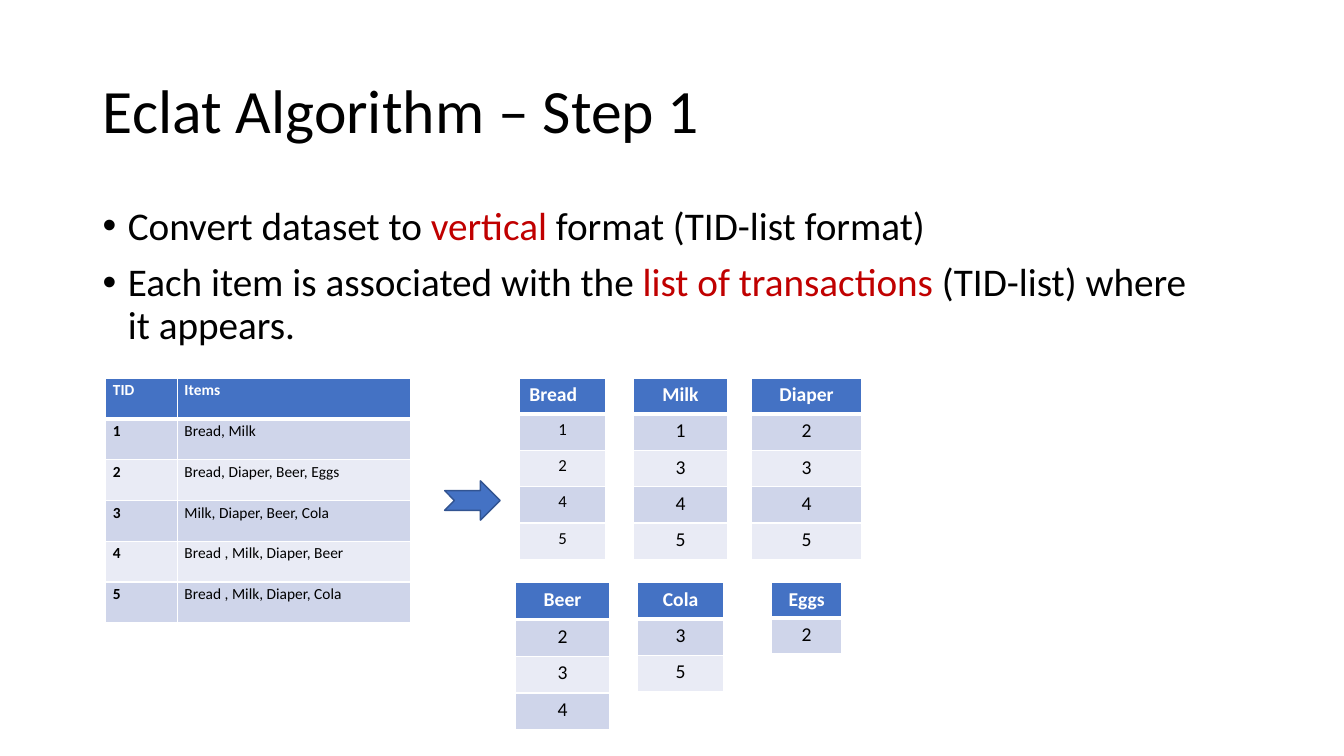
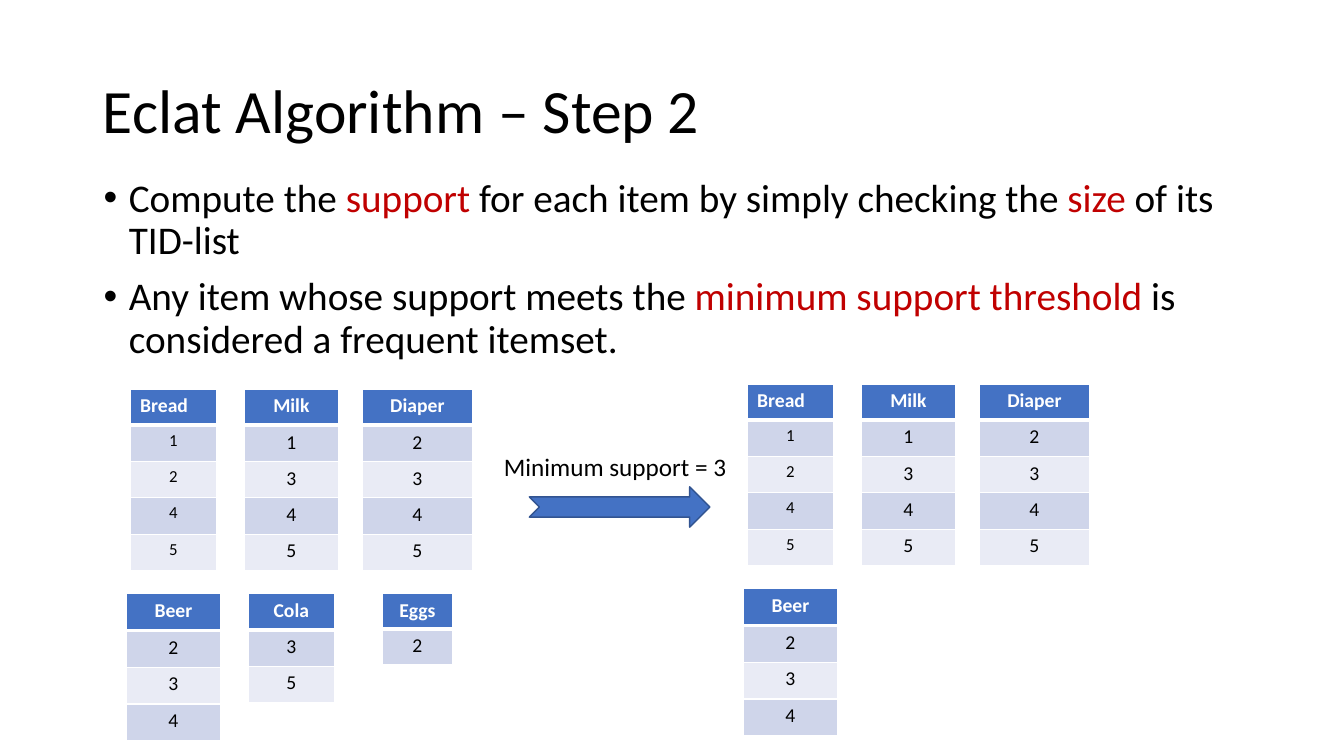
import pptx
import pptx.dml.color
import pptx.enum.shapes
import pptx.enum.text
import pptx.oxml
import pptx.oxml.ns
import pptx.util

Inches = pptx.util.Inches
Pt = pptx.util.Pt
RGBColor = pptx.dml.color.RGBColor
ALIGN = pptx.enum.text.PP_ALIGN
ANCHOR = pptx.enum.text.MSO_ANCHOR
AUTO_SIZE = pptx.enum.text.MSO_AUTO_SIZE
NOTCHED_ARROW = pptx.enum.shapes.MSO_SHAPE.NOTCHED_RIGHT_ARROW

BLACK = RGBColor(0x00, 0x00, 0x00)
WHITE = RGBColor(0xFF, 0xFF, 0xFF)
RED = RGBColor(0xC0, 0x00, 0x00)
BLUE = RGBColor(0x44, 0x72, 0xC4)
DARK_BLUE = RGBColor(0x32, 0x54, 0x91)
BANDS = [RGBColor(0xCF, 0xD5, 0xEA), RGBColor(0xE9, 0xEB, 0xF5)]

FONT = "Calibri"
DRAWING_NS = pptx.oxml.ns.nsdecls("a")


def format_text(paragraph, size, color, bold=False):
    for name, value in {"name": FONT, "size": Pt(size), "bold": bold}.items():
        setattr(paragraph.font, name, value)
    paragraph.font.color.rgb = color


def add_grid(slide, left, top, widths, row_height, rows, size=14, header_size=14,
             align=ALIGN.CENTER, header_align=ALIGN.CENTER, bold_first=False,
             margins=None, line_spacing=None):
    """Add a table with a blue header row, banded body and white rules."""
    table = slide.shapes.add_table(
        len(rows), len(widths), Inches(left), Inches(top),
        Inches(sum(widths)), Inches(row_height * len(rows))).table
    for column, width in zip(table.columns, widths):
        column.width = Inches(width)
    for r, values in enumerate(rows):
        table.rows[r].height = Inches(row_height)
        header = r == 0
        for c, value in enumerate(values):
            cell = table.cell(r, c)
            for name, margin in (margins or {}).items():
                setattr(cell, name, Inches(margin))
            cell.fill.solid()
            cell.fill.fore_color.rgb = BLUE if header else BANDS[(r - 1) % 2]
            paragraph = cell.text_frame.paragraphs[0]
            paragraph.text = value
            paragraph.alignment = header_align if header else align
            if line_spacing:
                paragraph.line_spacing = line_spacing
            format_text(paragraph, header_size if header else size,
                        WHITE if header else BLACK,
                        header or (bold_first and c == 0))
            # The rule under the header is thicker than the others
            rules = {"L": 1, "R": 1, "T": 3 if r == 1 else 1, "B": 3 if header else 1}
            for i, (side, points) in enumerate(rules.items()):
                cell._tc.get_or_add_tcPr().insert(i, pptx.oxml.parse_xml(
                    f'<a:ln{side} {DRAWING_NS} w="{Pt(points)}"><a:solidFill>'
                    f'<a:srgbClr val="{WHITE}"/></a:solidFill></a:ln{side}>'))


# Content: in bullets, every second run is highlighted
TRANSACTIONS = [
    ("TID", "Items"),
    ("1", "Bread, Milk"),
    ("2", "Bread, Diaper, Beer, Eggs"),
    ("3", "Milk, Diaper, Beer, Cola"),
    ("4", "Bread , Milk, Diaper, Beer"),
    ("5", "Bread , Milk, Diaper, Cola"),
]

# TID-lists: item, grid column, grid row, width, row height, transactions
TID_LISTS = [
    ("Bread", 0, 0, 0.86, 0.36, "1245"),
    ("Milk", 1, 0, 0.94, 0.36, "1345"),
    ("Diaper", 2, 0, 1.09, 0.36, "2345"),
    ("Beer", 0, 1, 0.94, 0.365, "234"),
    ("Eggs", 2, 1, 0.7, 0.35, "2"),
    ("Cola", 1, 1, 0.86, 0.36, "35"),
]
COLUMN_CENTRES = [0.43, 1.6, 2.85]
LIST_ROW_PITCH = 2.03
MINIMUM_SUPPORT = 3

STEPS = [
    {
        "title": "Eclat Algorithm – Step 1",
        "bullets_at": (0.92, 2, 11.23, 4.76),
        "bullets": [
            ["Convert dataset to ", "vertical", " format (TID-list format)"],
            ["Each item is associated with the ", "list of transactions ",
             "(TID-list) where it appears."],
        ],
        "list_groups": [(5.15, 3.75, 1)],
        "arrow_at": (4.41, 4.77, 0.55, 0.39),
    },
    {
        "title": "Eclat Algorithm – Step 2",
        "bullets_at": (0.93, 1.72, 11.5, 4.76),
        "bullets": [
            ["Compute the ", "support", " for each item by simply checking the ",
             "size", " of its TID-list"],
            ["Any item whose support meets the ", "minimum support threshold ",
             "is considered a frequent itemset."],
        ],
        "list_groups": [(1.29, 3.86, 1), (7.41, 3.81, MINIMUM_SUPPORT)],
        "arrow_at": (5.25, 4.83, 1.79, 0.4),
    },
]

presentation = pptx.Presentation()
presentation.slide_width = Inches(13.33)
presentation.slide_height = Inches(7.5)
title_only = presentation.slide_layouts[5]

for step in STEPS:
    slide = presentation.slides.add_slide(title_only)

    # Title
    title = slide.shapes.title
    title.left, title.top, title.width, title.height = map(Inches, (0.92, 0.4, 11.5, 1.45))
    title.text_frame.text = step["title"]
    title.text_frame.auto_size = AUTO_SIZE.NONE
    title.text_frame.vertical_anchor = ANCHOR.MIDDLE
    heading = title.text_frame.paragraphs[0]
    heading.alignment = ALIGN.LEFT
    heading.line_spacing = 0.9
    format_text(heading, 44, BLACK)

    # Bullets
    bullets = slide.shapes.add_textbox(*map(Inches, step["bullets_at"])).text_frame
    bullets.word_wrap = True
    for i, runs in enumerate(step["bullets"]):
        bullet = bullets.add_paragraph() if i else bullets.paragraphs[0]
        properties = bullet._p.get_or_add_pPr()
        properties.set("marL", str(Inches(0.25)))
        properties.set("indent", str(-Inches(0.25)))
        for mark in ('buFont {} typeface="Arial"', 'buChar {} char="•"'):
            properties.append(pptx.oxml.parse_xml(f"<a:{mark.format(DRAWING_NS)}/>"))
        bullet.line_spacing = 0.9
        if i:
            bullet.space_before = Pt(10)
        format_text(bullet, 28, BLACK)
        for j, text in enumerate(runs):
            run = bullet.add_run()
            run.text = text
            format_text(run, 28, RED if j % 2 else BLACK)

    # TID-lists that reach the support each group asks for
    for left, top, support in step["list_groups"]:
        for item, column, row, width, row_height, tids in TID_LISTS:
            if len(tids) < support:
                continue
            is_bread = item == "Bread"
            add_grid(slide, left + COLUMN_CENTRES[column] - width / 2,
                     top + row * LIST_ROW_PITCH, [width], row_height,
                     [(item,), *[(tid,) for tid in tids]],
                     size=12 if is_bread else 14,
                     header_align=ALIGN.LEFT if is_bread else ALIGN.CENTER)

    # Arrow
    arrow = slide.shapes.add_shape(NOTCHED_ARROW, *map(Inches, step["arrow_at"]))
    arrow.shadow.inherit = False
    arrow.fill.solid()
    arrow.fill.fore_color.rgb = BLUE
    arrow.line.color.rgb = DARK_BLUE
    arrow.line.width = Pt(1)

# Transactions on the first step
step_1, step_2 = presentation.slides
add_grid(step_1, 1.05, 3.75, [0.71, 2.31], 0.405, TRANSACTIONS, size=11,
         header_size=11, align=ALIGN.LEFT, header_align=ALIGN.LEFT,
         bold_first=True, line_spacing=1.15,
         margins={"margin_left": 0.07, "margin_right": 0.07,
                  "margin_top": 0, "margin_bottom": 0})

# Threshold above the arrow on the second step
threshold = step_2.shapes.add_textbox(*map(Inches, (4.9, 4.43, 3.2, 0.4))).text_frame
threshold.word_wrap = True
threshold.auto_size = AUTO_SIZE.SHAPE_TO_FIT_TEXT
threshold.text = f"Minimum support = {MINIMUM_SUPPORT}"
format_text(threshold.paragraphs[0], 18, BLACK)

presentation.save("out.pptx")
